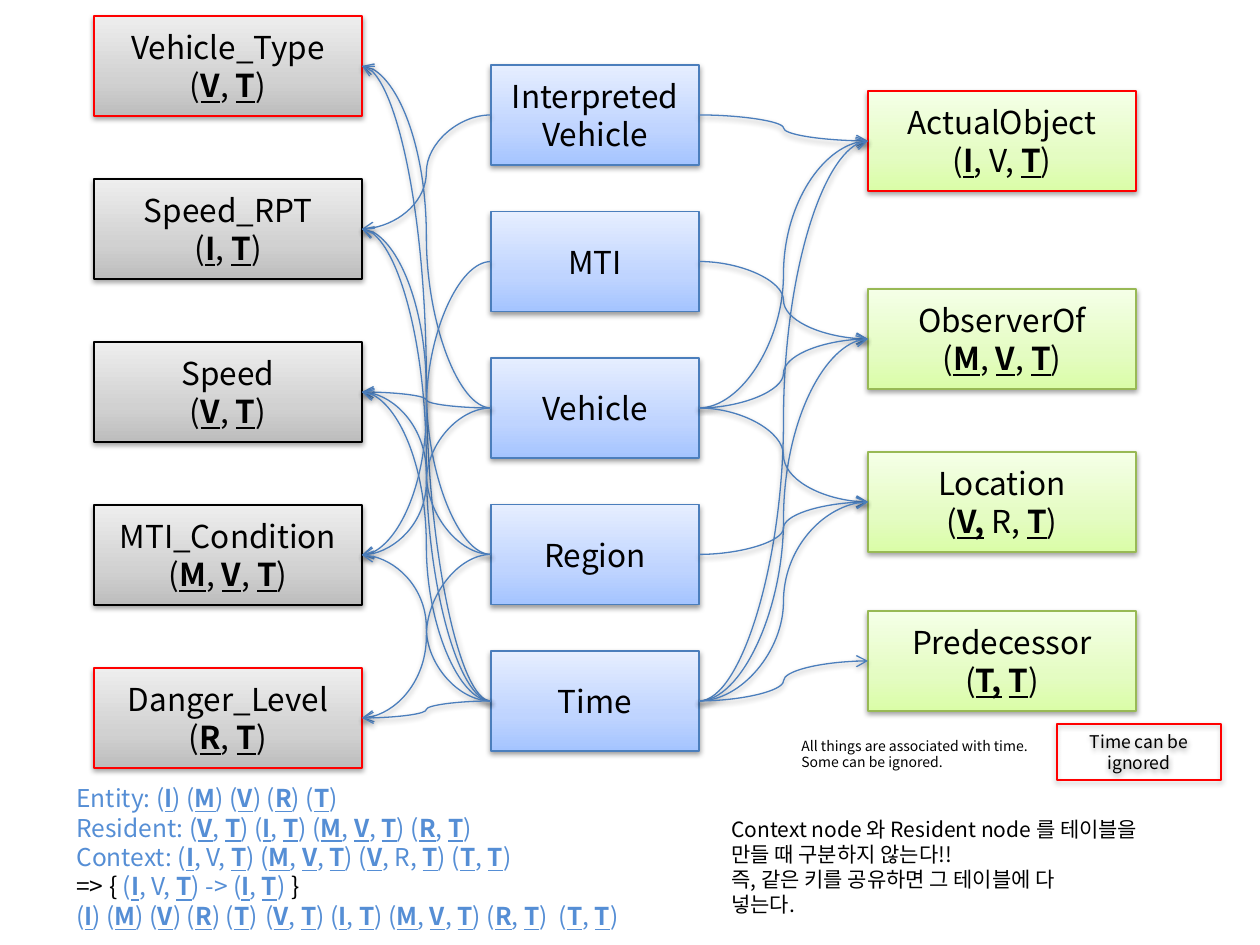
from lxml import etree
from pptx import Presentation
from pptx.dml.color import RGBColor
from pptx.enum.shapes import MSO_CONNECTOR, MSO_SHAPE
from pptx.enum.text import MSO_ANCHOR, PP_ALIGN
from pptx.oxml import parse_xml
from pptx.oxml.ns import nsdecls, qn
from pptx.util import Emu, Pt

RECT, CURVE = MSO_SHAPE.RECTANGLE, MSO_CONNECTOR.CURVE
CENTER, LEFT = PP_ALIGN.CENTER, PP_ALIGN.LEFT
MIDDLE, TOP = MSO_ANCHOR.MIDDLE, MSO_ANCHOR.TOP
LEFT_SITE, RIGHT_SITE = 1, 3

FONT = "Noto Sans CJK KR"
BLACK, RED = RGBColor(0, 0, 0), RGBColor(0xFF, 0, 0)
BLUE, GREEN = RGBColor(0x4B, 0x7E, 0xBC), RGBColor(0x98, 0xB9, 0x55)
TEXT_BLUE = RGBColor(0x55, 0x8E, 0xD5)

# Gradient colours from bottom to top
BLUE_FILL = ("A4C4FF", "BFD4FF", "E6EEFF")
GRAY_FILL = ("BDBDBD", "D1D1D1", "EEEEEE")
GREEN_FILL = ("DAFDA7", "E4FCC2", "F5FFE7")
STOPS = (0, 35000, 100000)

# In all texts, *...* is a bold underlined key and ~...~ is black.
ENTITIES = {
    "I": ["Interpreted", "Vehicle"],
    "M": ["MTI"],
    "V": ["Vehicle"],
    "R": ["Region"],
    "T": ["Time"],
}
# Name, arguments, linked entities, line colour
RESIDENTS = [
    ("Vehicle_Type", "(*V*, *T*)", "VT", RED),
    ("Speed_RPT", "(*I*, *T*)", "IRT", BLACK),
    ("Speed", "(*V*, *T*)", "VRT", BLACK),
    ("MTI_Condition", "(*M*, *V*, *T*)", "MVT", BLACK),
    ("Danger_Level", "(*R*, *T*)", "RT", RED),
]
CONTEXTS = [
    ("ActualObject", "(*I*, V, *T*)", "IVT", RED),
    ("ObserverOf", "(*M*, *V*, *T*)", "MVT", GREEN),
    ("Location", "(*V,* R, *T*)", "VRT", GREEN),
    ("Predecessor", "(*T,* *T*)", "T", GREEN),
]
# Left, top, width, height, size, colour, lines
NOTES = [
    (789, 731, 252, 47, 8, BLACK, [
        "All things are associated with time.",
        "Some can be ignored."]),
    (64, 777, 1091, 168, 14, TEXT_BLUE, [
        "Entity: (*I*) (*M*) (*V*) (*R*) (*T*)",
        "Resident: (*V*, *T*) (*I*, *T*) (*M*, *V*, *T*) (*R*, *T*)",
        "Context: (*I*, V, *T*) (*M*, *V*, *T*) (*V*, R, *T*) (*T*, *T*)",
        "~=> { ~(*I*, V, *T*) -> (*I*, *T*) ~}~",
        "(*I*) (*M*) (*V*) (*R*) (*T*) \t(*V*, *T*) (*I*, *T*) "
        "(*M*, *V*, *T*) (*R*, *T*)  (*T*, *T*)"]),
    (719, 810, 446, 115, 12, BLACK, [
        "Context node 와 Resident node 를 테이블을 만들 때 구분하지 않는다!!",
        "즉, 같은 키를 공유하면 그 테이블에 다",
        "넣는다."]),
]
NODE_H = 100
ENTITY_X, ENTITY_W, ENTITY_TOPS = 491, 208, (65, 651)
RESIDENT_X, RESIDENT_TOPS = 94, (16, 668)
CONTEXT_X, SIDE_W = 868, 268
CONTEXT_TOPS = (91, 289, 452, 611)


def px(n):
    """Turn pixels into EMU."""
    return Emu(round(n * 914400 / 126))


def spread(ends, count):
    """Space tops evenly between the first and the last."""
    first, last = ends
    return [first + i * (last - first) / (count - 1) for i in range(count)]


def add_run(p, text, size, color, key):
    """Add one run in the slide font."""
    r = p.add_run()
    r.text = text
    r.font.size = Pt(size)
    r.font.bold = r.font.underline = key
    r.font.color.rgb = color
    r.font.name = FONT
    etree.SubElement(r.font._element, qn("a:ea"), typeface=FONT)


def write(sp, lines, size, color=BLACK, align=CENTER, anchor=MIDDLE):
    """Fill a shape with marked-up lines, one paragraph each."""
    tf = sp.text_frame
    tf.word_wrap, tf.vertical_anchor = True, anchor
    for i, line in enumerate(lines):
        p = tf.add_paragraph() if i else tf.paragraphs[0]
        p.alignment = align
        for j, part in enumerate(line.split("~")):
            for k, text in enumerate(part.split("*")):
                if text:
                    add_run(p, text, size, BLACK if j % 2 else color, k % 2 == 1)


def add_shadow(sp):
    """Give a shape or connector the soft drop shadow."""
    sp._element.spPr.append(parse_xml(
        f'<a:effectLst {nsdecls("a")}><a:outerShdw blurRad="40000" dist="20000" '
        'dir="5400000" rotWithShape="0"><a:srgbClr val="000000">'
        '<a:alpha val="38000"/></a:srgbClr></a:outerShdw></a:effectLst>'))


def add_box(box, lines, size, line, colors=None):
    """Add an outlined box, with a gradient when colours are given."""
    sp = slide.shapes.add_shape(RECT, *map(px, box))
    sp.line.color.rgb, sp.line.width = line, Pt(0.75)
    if colors:
        stops = "".join(f'<a:gs pos="{pos}"><a:srgbClr val="{c}"/></a:gs>'
                        for pos, c in zip(STOPS, colors))
        sp._element.spPr.find(qn("a:prstGeom")).addnext(parse_xml(
            f'<a:gradFill {nsdecls("a")} rotWithShape="1"><a:gsLst>{stops}</a:gsLst>'
            '<a:lin ang="16200000" scaled="0"/></a:gradFill>'))
    else:
        sp.fill.background()
    add_shadow(sp)
    write(sp, lines, size)
    return sp


def add_link(start, start_site, end, end_site):
    """Join two boxes with a curved arrow."""
    link = slide.shapes.add_connector(CURVE, 0, 0, 0, 0)
    link.begin_connect(start, start_site)
    link.end_connect(end, end_site)
    link.line.color.rgb, link.line.width = BLUE, Pt(0.75)
    etree.SubElement(link.line._get_or_add_ln(), qn("a:tailEnd"), type="arrow")
    add_shadow(link)


def add_side(nodes, x, tops, colors, start_site, end_site):
    """Add a side column of nodes and the arrows that reach it."""
    for (name, args, keys, line), top in zip(nodes, tops):
        node = add_box((x, top, SIDE_W, NODE_H), [name, args], 18, line, colors)
        for key in keys:
            add_link(entities[key], start_site, node, end_site)


prs = Presentation()
prs.slide_width, prs.slide_height = px(1260), px(945)
slide = prs.slides.add_slide(prs.slide_layouts[6])

entities = {
    key: add_box((ENTITY_X, top, ENTITY_W, NODE_H), lines, 18, BLUE, BLUE_FILL)
    for (key, lines), top in zip(ENTITIES.items(), spread(ENTITY_TOPS, len(ENTITIES)))
}
add_side(RESIDENTS, RESIDENT_X, spread(RESIDENT_TOPS, len(RESIDENTS)), GRAY_FILL,
         LEFT_SITE, RIGHT_SITE)
add_side(CONTEXTS, CONTEXT_X, CONTEXT_TOPS, GREEN_FILL, RIGHT_SITE, LEFT_SITE)
add_box((1057, 724, 164, 56), ["Time can be ignored"], 10, RED)

for *box, size, color, lines in NOTES:
    note = slide.shapes.add_textbox(*map(px, box))
    write(note, lines, size, color, LEFT, TOP)

prs.save("out.pptx")
